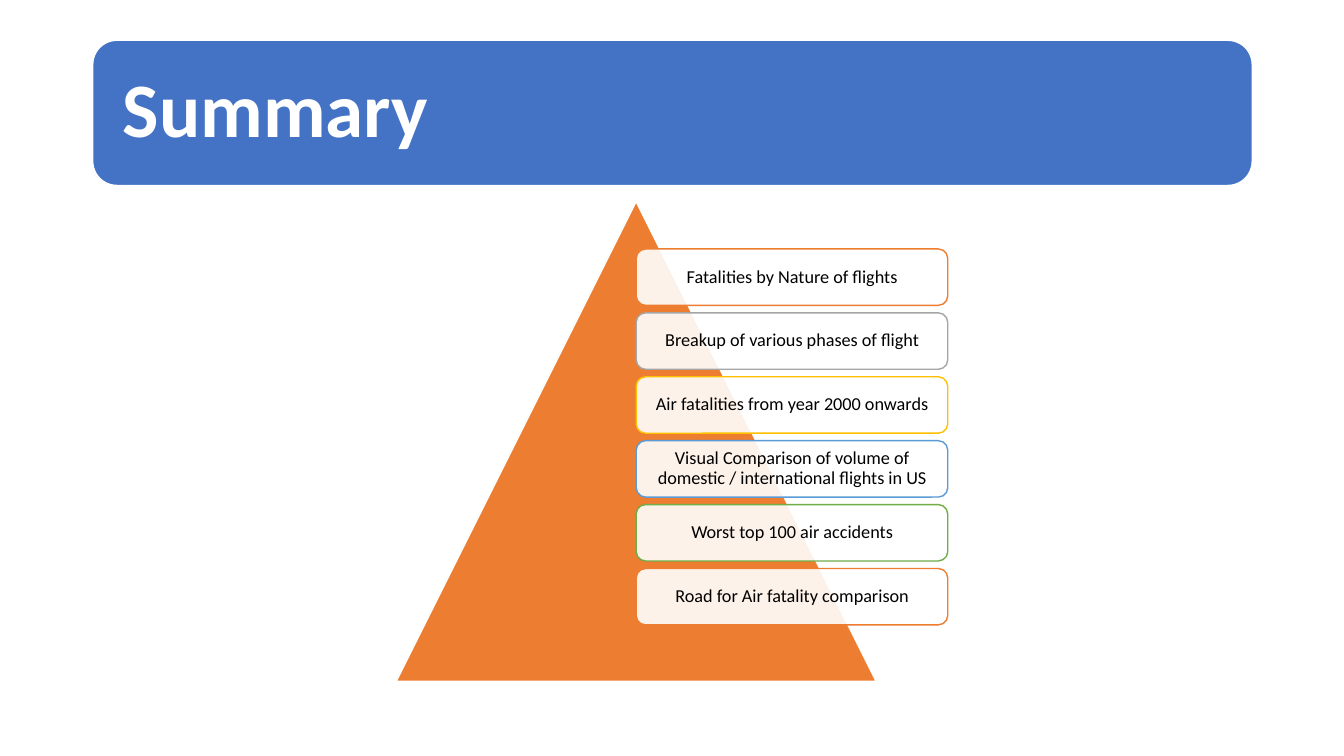
from lxml.etree import SubElement
from pptx import Presentation
from pptx.dml.color import RGBColor
from pptx.enum.shapes import MSO_SHAPE
from pptx.enum.text import MSO_ANCHOR, PP_ALIGN
from pptx.oxml.ns import qn
from pptx.util import Inches, Pt

WHITE = RGBColor(0xFF, 0xFF, 0xFF)
BLACK = RGBColor(0x00, 0x00, 0x00)
BLUE = RGBColor(0x44, 0x72, 0xC4)
ORANGE = RGBColor(0xED, 0x7D, 0x31)
GRAY = RGBColor(0xA5, 0xA5, 0xA5)
GOLD = RGBColor(0xFF, 0xC0, 0x00)
LIGHT_BLUE = RGBColor(0x5B, 0x9B, 0xD5)
GREEN = RGBColor(0x70, 0xAD, 0x47)

FONT = "Calibri"
TOPICS = [
    ("Fatalities by Nature of flights", ORANGE),
    ("Breakup of various phases of flight", GRAY),
    ("Air fatalities from year 2000 onwards", GOLD),
    ("Visual Comparison of volume of domestic / international flights in US", LIGHT_BLUE),
    ("Worst top 100 air accidents", GREEN),
    ("Road for Air fatality comparison", ORANGE),
]
FIRST_TOPIC_TOP = 2.47
LAST_TOPIC_TOP = 5.64


def add_filled_shape(slide, kind, left, top, width, height, fill, line):
    shape = slide.shapes.add_shape(
        kind, Inches(left), Inches(top), Inches(width), Inches(height)
    )
    shape.shadow.inherit = False
    shape.fill.solid()
    shape.fill.fore_color.rgb = fill
    shape.line.color.rgb = line
    shape.line.width = Pt(1)
    return shape


def set_opacity(shape, percent):
    color = shape.fill._xPr.find(qn("a:solidFill"))[0]
    SubElement(color, qn("a:alpha"), val=str(percent * 1000))


def add_text(shape, text, size, color, margin, alignment, bold=False):
    frame = shape.text_frame
    frame.word_wrap = True
    frame.vertical_anchor = MSO_ANCHOR.MIDDLE
    frame.margin_left = frame.margin_right = Inches(margin)
    frame.margin_top = frame.margin_bottom = Inches(margin)
    paragraph = frame.paragraphs[0]
    paragraph.alignment = alignment
    paragraph.line_spacing = 0.9
    run = paragraph.add_run()
    run.text = text
    run.font.name = FONT
    run.font.size = Pt(size)
    run.font.bold = bold
    run.font.color.rgb = color


def add_title(slide):
    banner = add_filled_shape(
        slide, MSO_SHAPE.ROUNDED_RECTANGLE, 0.92, 0.4, 11.5, 1.44, BLUE, WHITE
    )
    add_text(banner, "Summary", 55, WHITE, 0.23, PP_ALIGN.LEFT, bold=True)


def add_topic(slide, top, text, color):
    card = add_filled_shape(
        slide, MSO_SHAPE.ROUNDED_RECTANGLE, 6.31, top, 3.09, 0.56, WHITE, color
    )
    set_opacity(card, 90)
    add_text(card, text, 13, BLACK, 0.05, PP_ALIGN.CENTER)


def main():
    presentation = Presentation()
    presentation.slide_width = Inches(13.33)
    presentation.slide_height = Inches(7.5)
    slide = presentation.slides.add_slide(presentation.slide_layouts[6])

    add_title(slide)
    add_filled_shape(
        slide, MSO_SHAPE.ISOSCELES_TRIANGLE, 3.93, 2, 4.76, 4.76, ORANGE, WHITE
    )
    pitch = (LAST_TOPIC_TOP - FIRST_TOPIC_TOP) / (len(TOPICS) - 1)
    for index, (text, color) in enumerate(TOPICS):
        add_topic(slide, FIRST_TOPIC_TOP + index * pitch, text, color)

    presentation.save("out.pptx")


if __name__ == "__main__":
    main()
